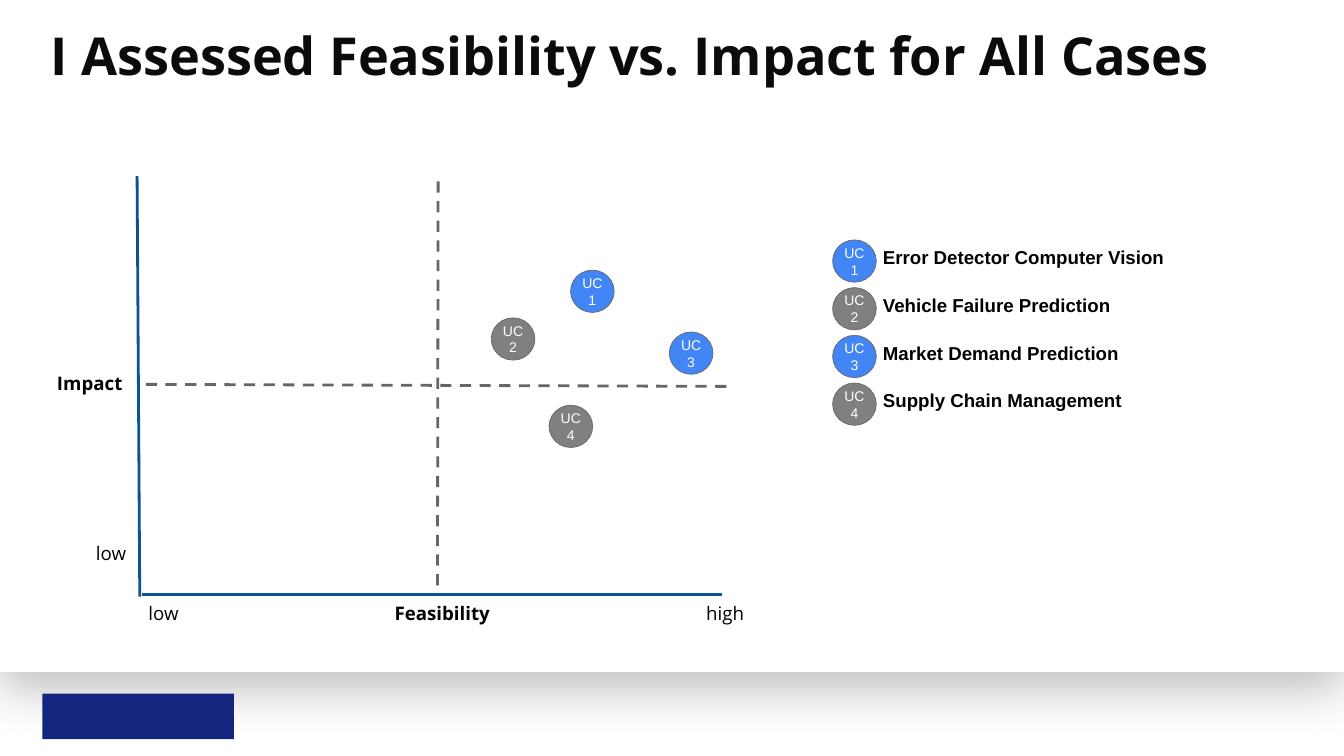
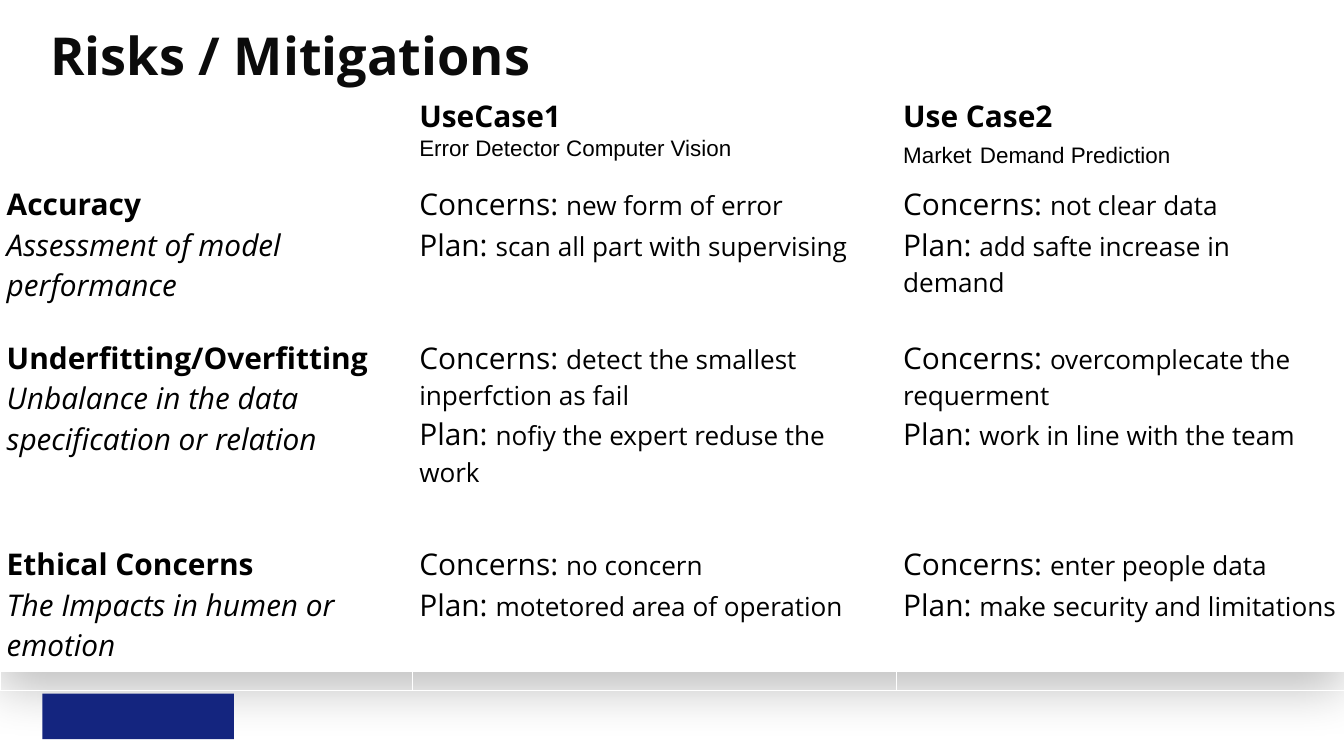
from copy import deepcopy

from lxml import etree
from pptx import Presentation
from pptx.dml.color import RGBColor
from pptx.enum.dml import MSO_LINE
from pptx.enum.shapes import MSO_CONNECTOR, MSO_SHAPE
from pptx.enum.text import MSO_ANCHOR, MSO_AUTO_SIZE, PP_ALIGN
from pptx.oxml import parse_xml
from pptx.oxml.ns import nsdecls, qn
from pptx.util import Inches, Pt

RECTANGLE, OVAL = MSO_SHAPE.RECTANGLE, MSO_SHAPE.OVAL
STRAIGHT, DASH = MSO_CONNECTOR.STRAIGHT, MSO_LINE.DASH
LEFT, CENTER = PP_ALIGN.LEFT, PP_ALIGN.CENTER
TOP, MIDDLE = MSO_ANCHOR.TOP, MSO_ANCHOR.MIDDLE
NO_FIT = MSO_AUTO_SIZE.NONE

WHITE = RGBColor(0xFF, 0xFF, 0xFF)
BLACK = RGBColor(0x00, 0x00, 0x00)
TITLE_COLOR = RGBColor(0x0B, 0x0B, 0x0B)
NAVY = RGBColor(0x14, 0x25, 0x7F)
AXIS_BLUE = RGBColor(0x0B, 0x53, 0x94)
CASE_BLUE = RGBColor(0x42, 0x85, 0xF4)
CASE_GRAY = RGBColor(0x80, 0x80, 0x80)
LINE_GRAY = RGBColor(0x66, 0x66, 0x66)

BODY = {"name": "Open Sans", "size": Pt(20), "bold": False, "italic": False}
BODY["color"] = BLACK
BOLD = BODY | {"bold": True}
TITLE = BOLD | {"size": Pt(56), "color": TITLE_COLOR}
LEGEND = BOLD | {"name": "Arial"}
CASE = BODY | {"name": "Arial", "size": Pt(15), "color": WHITE}
CELL = BODY | {"size": Pt(32)}
CELL_HEADING = CELL | {"bold": True}
CELL_ITALIC = CELL | {"italic": True}
CELL_DETAIL = CELL | {"size": Pt(28)}
SUBHEADING = CELL | {"name": "Arial", "size": Pt(24)}
SUBHEADING_GAP = CELL_HEADING | {"name": "Arial"}


def write(frame, paragraphs, margin=0.1, anchor=TOP, alignment=LEFT):
    settings = {"word_wrap": True, "auto_size": NO_FIT, "vertical_anchor": anchor}
    for side in ("left", "top", "right", "bottom"):
        settings["margin_" + side] = Inches(margin)
    for name, value in settings.items():
        setattr(frame, name, value)
    for index, runs in enumerate(paragraphs):
        paragraph = frame.add_paragraph() if index else frame.paragraphs[0]
        paragraph.alignment = alignment
        for text, text_format in runs:
            for line_number, line in enumerate(text.split("\n")):
                if line_number:
                    paragraph.add_line_break()
                    line_break = paragraph._p.findall(qn("a:br"))[-1]
                    line_break.append(deepcopy(run._r.rPr))
                if not line:
                    continue
                run = paragraph.add_run()
                run.text = line
                for name, value in text_format.items():
                    if name == "color":
                        run.font.color.rgb = value
                    else:
                        setattr(run.font, name, value)


def add_case(slide, number, left, top):
    circle = slide.shapes.add_shape(
        OVAL, Inches(left), Inches(top), Inches(0.65), Inches(0.63)
    )
    circle.shadow.inherit = False
    circle.fill.solid()
    circle.fill.fore_color.rgb = CASE_BLUE if number % 2 else CASE_GRAY
    circle.line.color.rgb = LINE_GRAY
    circle.line.width = Pt(0.75)
    write(circle.text_frame, [[(f"UC\n{number}", CASE)]], 0, MIDDLE, CENTER)


presentation = Presentation()
presentation.slide_width = Inches(20)
presentation.slide_height = Inches(11.25)
layout = presentation.slide_layouts[5]

slides = []
for title_text in (
    "I Assessed Feasibility vs. Impact for All Cases",
    "Risks / Mitigations",
):
    slide = presentation.slides.add_slide(layout)
    title = slide.shapes.title
    title.left, title.top = Inches(0.75), Inches(0.34)
    title.width, title.height = Inches(18.5), Inches(1.65)
    write(title.text_frame, [[(title_text, TITLE)]], 0)
    slides.append(slide)
matrix_slide, risk_slide = slides

bands = [
    (0, 0, 20, 10, WHITE),
    (0.63, 10.32, 2.85, 0.68, NAVY),
]
for index, (left, top, width, height, color) in enumerate(bands):
    band = matrix_slide.shapes.add_shape(
        RECTANGLE, Inches(left), Inches(top), Inches(width), Inches(height)
    )
    band.shadow.inherit = False
    band.fill.solid()
    band.fill.fore_color.rgb = color
    band.line.fill.background()
    if color == WHITE:
        effects = band._element.spPr.find(qn("a:effectLst"))
        effects.append(parse_xml(
            f'<a:outerShdw {nsdecls("a")} blurRad="{Pt(56.2)}" dist="{Pt(18.8)}" '
            'dir="5400000" algn="t" rotWithShape="0"><a:srgbClr val="000000">'
            '<a:alpha val="25000"/></a:srgbClr></a:outerShdw>'
        ))
    layout.shapes.element.insert(2 + index, band._element)

axis_lines = [
    (6.52, 2.7, 6.51, 8.71, LINE_GRAY, DASH),
    (2.17, 5.72, 10.88, 5.75, LINE_GRAY, DASH),
    (2.04, 2.62, 2.08, 8.88, AXIS_BLUE, None),
    (10.74, 8.85, 2.11, 8.85, AXIS_BLUE, None),
]
for start_x, start_y, end_x, end_y, color, dash in axis_lines:
    connector = matrix_slide.shapes.add_connector(
        STRAIGHT, Inches(start_x), Inches(start_y), Inches(end_x), Inches(end_y)
    )
    connector.line.color.rgb = color
    connector.line.width = Pt(3)
    connector.line.dash_style = dash
    etree.SubElement(connector._element.spPr, qn("a:effectLst"))

labels = [
    ("Impact", 0.75, 5.43, 1.43, 0.78, BOLD, LEFT),
    ("Feasibility", 3.62, 8.85, 5.92, 0.78, BOLD, CENTER),
    ("low", 2.11, 8.85, 1.14, 0.4, BODY, LEFT),
    ("low", 1.33, 7.96, 1.14, 0.4, BODY, LEFT),
    ("high", 10.41, 8.85, 1.39, 0.29, BODY, LEFT),
]
cases = [
    ("Error Detector Computer Vision", 8.49, 4.02),
    ("Vehicle Failure Prediction", 7.31, 4.73),
    ("Market Demand Prediction", 9.96, 4.94),
    ("Supply Chain Management", 8.17, 6.03),
]
for index, (name, left, top) in enumerate(cases):
    legend_top = 3.57 + 0.71 * index
    add_case(matrix_slide, index + 1, left, top)
    add_case(matrix_slide, index + 1, 12.39, legend_top)
    labels.append((name, 13.04, legend_top - 0.01, 4.64, 0.78, LEGEND, LEFT))
for text, left, top, width, height, text_format, alignment in labels:
    label = matrix_slide.shapes.add_textbox(
        Inches(left), Inches(top), Inches(width), Inches(height)
    )
    write(label.text_frame, [[(text, text_format)]], alignment=alignment)

risks = [
    ("Accuracy", "Assessment of model performance",
     ("new form of error", "scan all part with supervising"),
     ("not clear data", "add safte increase in demand")),
    ("Underfitting/Overfitting", "Unbalance in the data specification or relation",
     ("detect the smallest inperfction as fail", "nofiy the expert reduse the work"),
     ("overcomplecate the requerment", "work in line with the team")),
    ("Ethical Concerns", "The Impacts in humen or emotion",
     ("no concern", "motetored area of operation"),
     ("enter people data", "make security and limitations")),
]
rows = [[
    [],
    [[("UseCase1", CELL_HEADING)], [("Error Detector Computer Vision", SUBHEADING)]],
    [[("Use Case2", CELL_HEADING)],
     [("Market", SUBHEADING), (" ", SUBHEADING_GAP), ("Demand Prediction", SUBHEADING)]],
]]
for heading, description, *use_cases in risks:
    row = [[[(heading + "\n", CELL_HEADING), (description, CELL_ITALIC)]]]
    for concern, plan in use_cases:
        row.append([
            [("Concerns: ", CELL), (concern, CELL_DETAIL)],
            [("Plan: ", CELL), (plan, CELL_DETAIL)],
        ])
    rows.append(row)

column_widths = [6.14, 7.2, 6.66]
row_heights = [1.31, 2.29, 3.07, 2.29]
table = risk_slide.shapes.add_table(
    len(rows), len(column_widths), Inches(0), Inches(1.32),
    Inches(sum(column_widths)), Inches(sum(row_heights)),
).table
table.first_row = False
table.horz_banding = False
for column, width in zip(table.columns, column_widths):
    column.width = Inches(width)
for row_index, (row, height) in enumerate(zip(rows, row_heights)):
    table.rows[row_index].height = Inches(height)
    for column_index, paragraphs in enumerate(row):
        cell = table.cell(row_index, column_index)
        cell.fill.background()
        for side in ("left", "top", "right", "bottom"):
            setattr(cell, "margin_" + side, Inches(0.1))
        write(cell.text_frame, paragraphs)

presentation.save("out.pptx")
